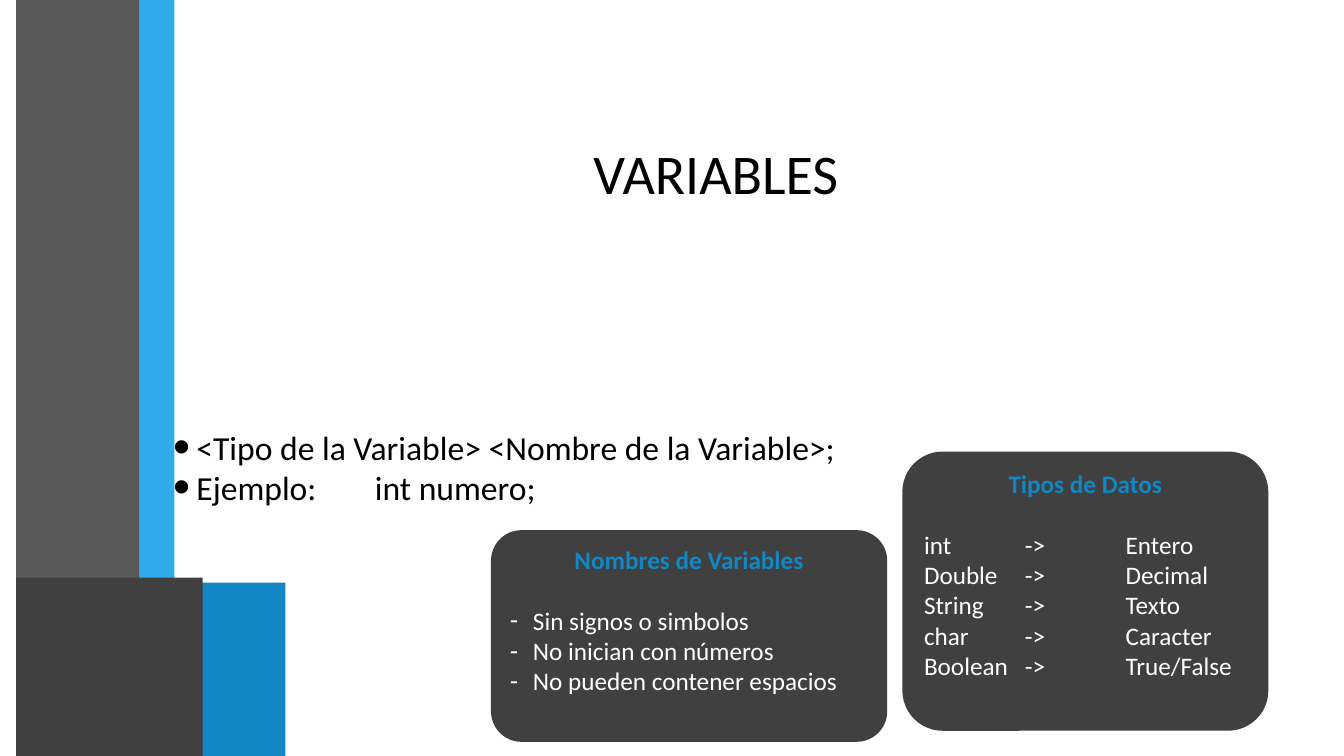
from lxml import etree
from pptx import Presentation
from pptx.dml.color import RGBColor
from pptx.enum.shapes import MSO_SHAPE as Shape
from pptx.enum.text import MSO_ANCHOR as Anchor, PP_ALIGN as Align
from pptx.oxml.ns import qn
from pptx.util import Inches, Pt

BLACK = RGBColor(0x00, 0x00, 0x00)
WHITE = RGBColor(0xFF, 0xFF, 0xFF)
LIGHT_BLUE = RGBColor(0x30, 0xAC, 0xEC)
BLUE = RGBColor(0x12, 0x87, 0xC3)
GRAY = RGBColor(0x59, 0x59, 0x59)
DARK_GRAY = RGBColor(0x40, 0x40, 0x40)
INDENT = Inches(0.23)


def add_block(kind, box, color):
    block = slide.shapes.add_shape(kind, *map(Inches, box))
    block.shadow.inherit = False
    block.fill.solid()
    block.fill.fore_color.rgb = color
    block.line.fill.background()
    return block


def write_line(frame, text, size, color, align=Align.LEFT, bold=False,
               bullet=None, bullet_size=100, tabs=()):
    """Add one paragraph, reusing the empty first one of the frame."""
    paragraph = frame.paragraphs[0]
    if paragraph.runs:
        paragraph = frame.add_paragraph()
    paragraph.alignment = align
    run = paragraph.add_run()
    run.text = text
    run.font.name = "Calibri"
    run.font.size = Pt(size)
    run.font.bold = bold
    run.font.color.rgb = color
    properties = paragraph._p.get_or_add_pPr()
    if bullet:
        properties.set("marL", str(INDENT))
        properties.set("indent", str(-INDENT))
        etree.SubElement(properties, qn("a:buSzPct"), val=str(bullet_size * 1000))
        etree.SubElement(properties, qn("a:buFont"), typeface="Arial")
        etree.SubElement(properties, qn("a:buChar"), char=bullet)
    if tabs:
        tab_list = etree.SubElement(properties, qn("a:tabLst"))
        for position in tabs:
            etree.SubElement(tab_list, qn("a:tab"), pos=str(Inches(position)), algn="l")
    return paragraph


presentation = Presentation()
presentation.slide_width = Inches(13.33)
presentation.slide_height = Inches(7.5)
slide = presentation.slides.add_slide(presentation.slide_layouts[6])

# Side bands
for box, color in [
    ((0.5, 0, 1.23, 5.83), LIGHT_BLUE),
    ((0.16, 0, 1.22, 5.77), GRAY),
    ((0.5, 5.78, 2.33, 1.72), BLUE),
    ((0.16, 5.73, 1.85, 1.77), DARK_GRAY),
]:
    add_block(Shape.RECTANGLE, box, color)

# Title and syntax
text_frames = []
for top, height in [(0.75, 1.92), (2.92, 3.42)]:
    text_box = slide.shapes.add_textbox(
        Inches(1.62), Inches(top), Inches(10.96), Inches(height))
    text_box.text_frame.word_wrap = True
    text_box.text_frame.vertical_anchor = Anchor.MIDDLE
    text_frames.append(text_box.text_frame)
title_frame, syntax_frame = text_frames

write_line(title_frame, "VARIABLES", 40, BLACK, Align.CENTER)
write_line(syntax_frame, "<Tipo de la Variable> <Nombre de la Variable>;", 24, BLACK,
           bullet="•", bullet_size=145)
write_line(syntax_frame, "Ejemplo: \tint numero;", 24, BLACK,
           bullet="•", bullet_size=145, tabs=[2])

# Cards
data_types = [("int ", "Entero"), ("Double", "Decimal"), ("String", "Texto"),
              ("char", "Caracter"), ("Boolean", "True/False")]
type_lines = [f"{name}\t->\t{meaning}" for name, meaning in data_types]
name_rules = ["Sin signos o simbolos", "No inician con números",
              "No pueden contener espacios"]

for box, heading, lines, bullet, tabs in [
    ((8.95, 4.48, 3.63, 2.77), "Tipos de Datos", type_lines, None, [1, 2]),
    ((4.87, 5.26, 3.93, 2.1), "Nombres de Variables", name_rules, "-", []),
]:
    card = add_block(Shape.ROUNDED_RECTANGLE, box, DARK_GRAY)
    card.adjustments[0] = 0.144
    frame = card.text_frame
    frame.word_wrap = True
    frame.vertical_anchor = Anchor.TOP
    heading_line = write_line(frame, heading, 18, BLUE, Align.CENTER, bold=True)
    heading_line.space_after = Pt(22)
    for line in lines:
        write_line(frame, line, 18, WHITE, Align.JUSTIFY, bullet=bullet, tabs=tabs)

presentation.save("out.pptx")
